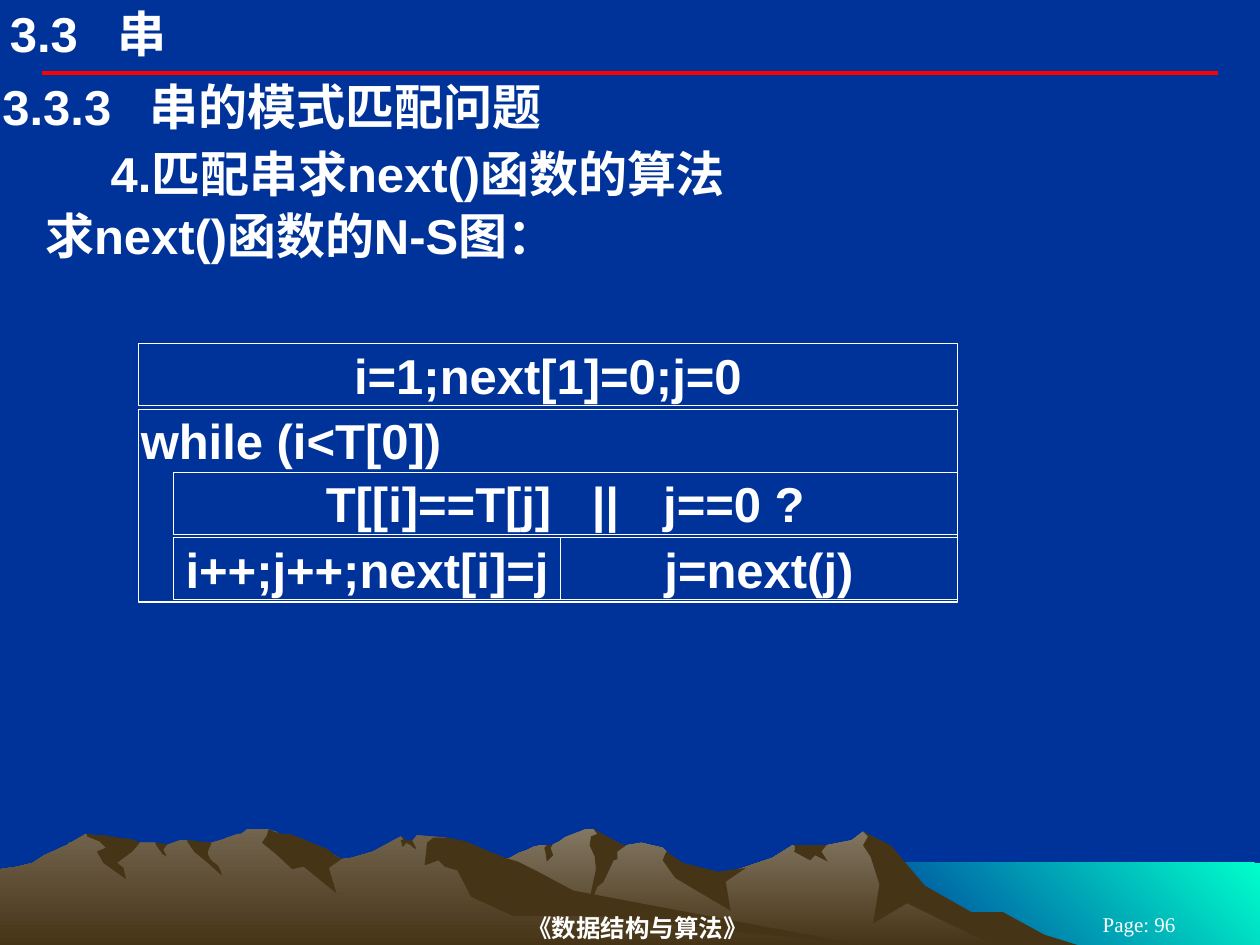
from dataclasses import dataclass

from lxml.etree import SubElement
from pptx import Presentation
from pptx.dml.color import RGBColor as Rgb
from pptx.enum.shapes import MSO_CONNECTOR as Link, MSO_SHAPE as Kind
from pptx.enum.text import MSO_ANCHOR as Anchor, MSO_AUTO_SIZE as Fit, PP_ALIGN as Align
from pptx.oxml.ns import qn
from pptx.util import Cm, Pt


@dataclass(frozen=True)
class Theme:
    """Colours, fonts and type sizes of the slide."""
    back: str = "003399"
    ink: str = "FFFFFF"
    rule: str = "FF0000"
    sea: tuple = ("00FFCC", "003399")
    far: tuple = ("837763", "463416")
    near: tuple = ("72644E", "463416")
    shade: str = "463416"
    sans: str = "Arial"
    serif: str = "Times New Roman"
    body: int = 28
    foot: int = 14
    page: int = 12


THEME = Theme()
UNIT = Cm(0.0254)

SEA = "1000 94 683 94 683 27 1000 27"
FAR = """802 82 778 69 764 65 723 40 702 13 685 2 676 9 656 13 629 13 613 23 566 39
    536 32 529 18 526 15 509 11 497 13 486 15 474 3 471 0 465 0 450 6 448 7 444 10
    438 13 433 13 430 13 424 14 418 17 412 19 405 23 399 25 395 26 394 27 355 40
    327 51 277 81 258 93 821 93"""
NEAR = """690 93 689 93 667 90 432 54 354 7 331 5 327 10 323 10 318 6 296 18 279 23
    271 24 260 18 236 23 223 5 222 4 219 2 215 1 212 0 208 0 202 0 198 0 196 0 195 1
    194 2 191 4 189 4 186 5 183 6 180 7 178 8 168 11 160 13 148 9 143 9 132 13 128 13
    123 11 111 11 94 13 68 4 56 11 55 11 53 13 50 14 46 16 35 21 26 27 14 30 0 32
    0 93 175 93 647 93"""
FAR_DARK = (
    """796 66 771 66 734 45 707 13 685 2 689 6 685 13 691 22 698 44 693 75 720 59
    792 94 858 93 829 84""",
    """471 0 474 4 469 6 468 13 472 22 473 32 465 69 474 46 479 42 487 25 490 24
    490 18 497 13 493 12""",
    "529 18 528 20 526 25 536 39 580 65 576 42 592 31 570 34 542 27",
    "650 13 630 13 631 14 631 17 630 18 643 25 647 21 657 26 652 18 656 13",
    "433 19 432 15 434 13 432 13 438 13 439 12 437 15 439 21 434 26",
)
NEAR_DARK = (
    """212 5 208 11 219 20 232 32 241 30 267 51 261 31 271 24 270 23 266 21 260 16
    252 13 245 10 238 7 232 5 230 4 226 4 224 4 220 3 217 2 215 1 213 1""",
    """370 10 361 8 354 7 344 7 339 11 337 29 348 25 353 30 363 33 374 54 407 69
    472 69 690 93 683 92 455 49 427 34 411 26 401 23 386 17""",
    """318 9 319 9 320 8 319 7 318 6 323 9 327 9 328 11 329 13 330 15 330 16 328 15
    326 13 322 11 322 12 321 13 320 14 319 14 319 12""",
    """154 9 157 10 161 10 168 11 165 18 165 20 166 22 167 24 169 26 173 29 175 33
    176 36 176 37 165 27 154 18 148 9""",
    "133 12 130 16 130 17 131 19 132 21 132 22 131 21 129 20 127 17 126 16 123 11",
    """109 10 111 11 105 18 93 27 98 31 100 40 82 27 77 18 84 15 79 10 69 6 69 4 71 4
    77 5 84 5 86 6 90 6 93 7 94 7 104 8""",
)


def write(shape, words, size=THEME.body, font=THEME.sans, bold=True,
          align=Align.LEFT, anchor=Anchor.TOP, pad=(0.05, 0.03), indent=0, tabs=()):
    """Put formatted words into a shape."""
    frame = shape.text_frame
    frame.word_wrap, frame.auto_size = True, Fit.NONE
    frame.vertical_anchor = anchor
    frame.margin_left = frame.margin_right = Cm(pad[0])
    frame.margin_top = frame.margin_bottom = Cm(pad[1])
    para = frame.paragraphs[0]
    para.alignment = align
    para.space_before = Pt(0)
    props = para._p.get_or_add_pPr()
    if indent:
        props.set("marL", str(Cm(indent)))
    if tabs:
        stops = SubElement(props, qn("a:tabLst"))
        for stop in tabs:
            SubElement(stops, qn("a:tab"), pos=str(Cm(stop)), algn="l")
    run = para.add_run()
    run.text = words
    run.font.size, run.font.name, run.font.bold = Pt(size), font, bold
    run.font.color.rgb = Rgb.from_string(THEME.ink)


def label(slide, box, words, **style):
    """Add a text box in the given place."""
    write(slide.shapes.add_textbox(*map(Cm, box)), words, **style)


def cell(slide, box, words, **style):
    """Add one outlined cell of the chart."""
    shape = slide.shapes.add_shape(Kind.RECTANGLE, *map(Cm, box))
    shape.shadow.inherit = False
    shape.fill.background()
    shape.line.color.rgb = Rgb.from_string(THEME.ink)
    shape.line.width = Pt(0.75)
    write(shape, words, **style)


def patch(slide, spot, trace, paint, angle=270):
    """Draw a closed outline in one colour or a pair that blends."""
    nums = [int(num) for num in trace.split()]
    first, *rest = zip(nums[::2], nums[1::2])
    pen = slide.shapes.build_freeform(*first, scale=UNIT)
    pen.add_line_segments(rest, close=True)
    shape = pen.convert_to_shape(*map(Cm, spot))
    shape.shadow.inherit = False
    shape.line.fill.background()
    if isinstance(paint, str):
        shape.fill.solid()
        shape.fill.fore_color.rgb = Rgb.from_string(paint)
        return
    shape.fill.gradient()
    shape.fill.gradient_angle = angle
    for stop, tone in zip(shape.fill.gradient_stops, paint):
        stop.color.rgb = Rgb.from_string(tone)


def scene(slide, box):
    """Draw the sea, the hills and the footer."""
    left, top, wide, high = box
    spot = left, top
    patch(slide, spot, SEA, THEME.sea, angle=225)
    for ridge, paint, darks in ((FAR, THEME.far, FAR_DARK), (NEAR, THEME.near, NEAR_DARK)):
        patch(slide, spot, ridge, paint)
        for dark in darks:
            patch(slide, spot, dark, THEME.shade)
    style = dict(font=THEME.serif, align=Align.CENTER, anchor=Anchor.MIDDLE)
    label(slide, (left + 5.16, top + 1.63, 15.39, 0.71), "《数据结构与算法》",
          size=THEME.foot, pad=(0, 0.03), **style)
    label(slide, (left + 20.96, top + 1.7, 4.01, 0.43), "Page: 96",
          size=THEME.page, bold=False, pad=(0.25, 0.13), **style)


def header(slide, box):
    """Set the title above its red rule."""
    left, top, wide, high = box
    title = slide.shapes.title
    title.left, title.top, title.width, title.height = map(
        Cm, (left + 0.2, top + 0.08, 16.51, 1.19))
    write(title, "3.3\t串", pad=(0, 0), tabs=(2.16,))
    base = top + high
    rule = slide.shapes.add_connector(
        Link.STRAIGHT, *map(Cm, (left + 0.84, base, left + wide - 0.84, base)))
    rule.line.color.rgb = Rgb.from_string(THEME.rule)
    rule.line.width = Pt(2.25)
    SubElement(rule._element.spPr, qn("a:effectLst"))


def intro(slide, box):
    """Stack the three heading lines."""
    left, top, wide, high = box
    lines = ((0, "3.3.3\t串的模式匹配问题", dict(tabs=(2.97,))),
             (1.35, "4.匹配串求next()函数的算法", dict(indent=2.18)),
             (2.59, "求next()函数的N-S图：", dict(indent=0.86)))
    for drop, words, style in lines:
        label(slide, (left, top + drop, wide, high - 2.59), words, **style)


def chart(slide, box):
    """Draw the N-S chart of the algorithm."""
    left, top, wide, high = box
    row, inset, split = 1.25, 0.71, 8.51
    loop, test, step = top + 1.32, top + 2.59, top + 3.91
    mid = dict(align=Align.CENTER)
    cell(slide, (left, top, wide, row), "i=1;next[1]=0;j=0", **mid)
    cell(slide, (left, loop, wide, top + high - loop), "while (i<T[0])")
    cell(slide, (left + inset, test, wide - inset, row),
         "\tT[[i]==T[j]\t||\tj==0 ?", tabs=(3.02, 8.38, 9.82))
    cell(slide, (left + inset, step, split - inset, row), "i++;j++;next[i]=j", **mid)
    cell(slide, (left + split, step, wide - split, row), "j=next(j)", **mid)


def main():
    """Build and save the slide."""
    deck = Presentation()
    deck.slide_width, deck.slide_height = Cm(25.4), Cm(19.05)
    slide = deck.slides.add_slide(deck.slide_layouts[5])
    slide.background.fill.solid()
    slide.background.fill.fore_color.rgb = Rgb.from_string(THEME.back)
    scene(slide, (0, 16.71, 25.4, 2.34))
    header(slide, (0, 0, 25.4, 1.47))
    intro(slide, (0, 1.52, 25.4, 3.84))
    chart(slide, (2.79, 6.93, 16.51, 5.21))
    deck.save("out.pptx")


if __name__ == "__main__":
    main()
